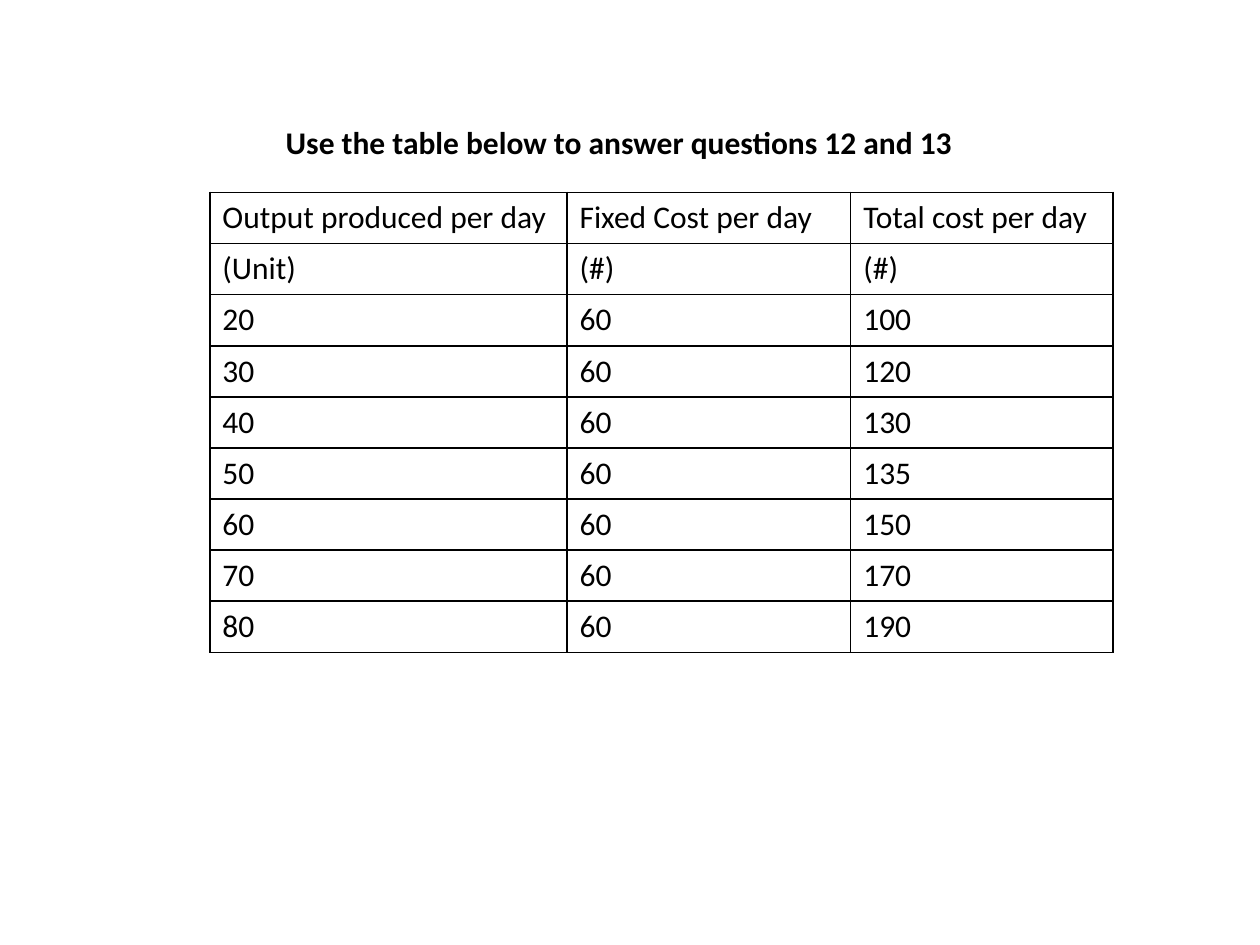
import pptx
import pptx.util
import pptx.dml.color
import pptx.enum.text
import pptx.oxml
import pptx.oxml.ns
import lxml.etree

Cm = pptx.util.Cm
Pt = pptx.util.Pt
COLORS = {"ink": "000000"}


class CostSlide:
    font_name = "Calibri"
    font_size = 18
    border_width = 1

    def __init__(self, deck):
        self.page = deck.slides.add_slide(deck.slide_layouts[6])

    def style(self, text_frame, bold=False):
        for para in text_frame.paragraphs:
            for span in para.runs:
                span.font.name = self.font_name
                span.font.size = Pt(self.font_size)
                span.font.bold = bold
                span.font.color.rgb = pptx.dml.color.RGBColor.from_string(COLORS["ink"])

    def heading(self, text, left, top, width, height):
        box = self.page.shapes.add_textbox(Cm(left), Cm(top), Cm(width), Cm(height))
        frame = box.text_frame
        frame.word_wrap = False
        frame.auto_size = pptx.enum.text.MSO_AUTO_SIZE.SHAPE_TO_FIT_TEXT
        frame.text = text
        self.style(frame, bold=True)

    def border(self, cell):
        qn = pptx.oxml.ns.qn
        properties = cell._tc.get_or_add_tcPr()
        for position, side in enumerate(("lnL", "lnR", "lnT", "lnB")):
            line = lxml.etree.Element(qn("a:" + side), w=str(Pt(self.border_width)))
            fill = lxml.etree.SubElement(line, qn("a:solidFill"))
            lxml.etree.SubElement(fill, qn("a:srgbClr"), val=COLORS["ink"])
            properties.insert(position, line)

    def table(self, rows, left, top, column_widths, row_height):
        frame = self.page.shapes.add_table(
            len(rows), len(column_widths), Cm(left), Cm(top),
            Cm(sum(column_widths)), Cm(row_height * len(rows)))
        table = frame.table
        table.first_row = False
        table.horz_banding = False
        for column, width in zip(table.columns, column_widths):
            column.width = Cm(width)
        for row, values in zip(table.rows, rows):
            row.height = Cm(row_height)
            for cell, value in zip(row.cells, values):
                cell.text_frame.text = str(value)
                self.style(cell.text_frame)
                cell.fill.background()
                self.border(cell)


deck = pptx.Presentation()
deck.slide_width = Cm(25.4)
deck.slide_height = Cm(19.05)

outputs = range(20, 90, 10)
fixed_cost = 60
total_costs = [100, 120, 130, 135, 150, 170, 190]
rows = [
    ("Output produced per day", "Fixed Cost per day", "Total cost per day"),
    ("(Unit)", "(#)", "(#)"),
]
rows += [(output, fixed_cost, total) for output, total in zip(outputs, total_costs)]

slide = CostSlide(deck)
slide.table(rows, 4.23, 3.88, [7.2, 5.72, 5.29], 1.03)
slide.heading("Use the table below to answer questions 12 and 13", 5.51, 2.36, 14.07, 1.03)

deck.save("out.pptx")
